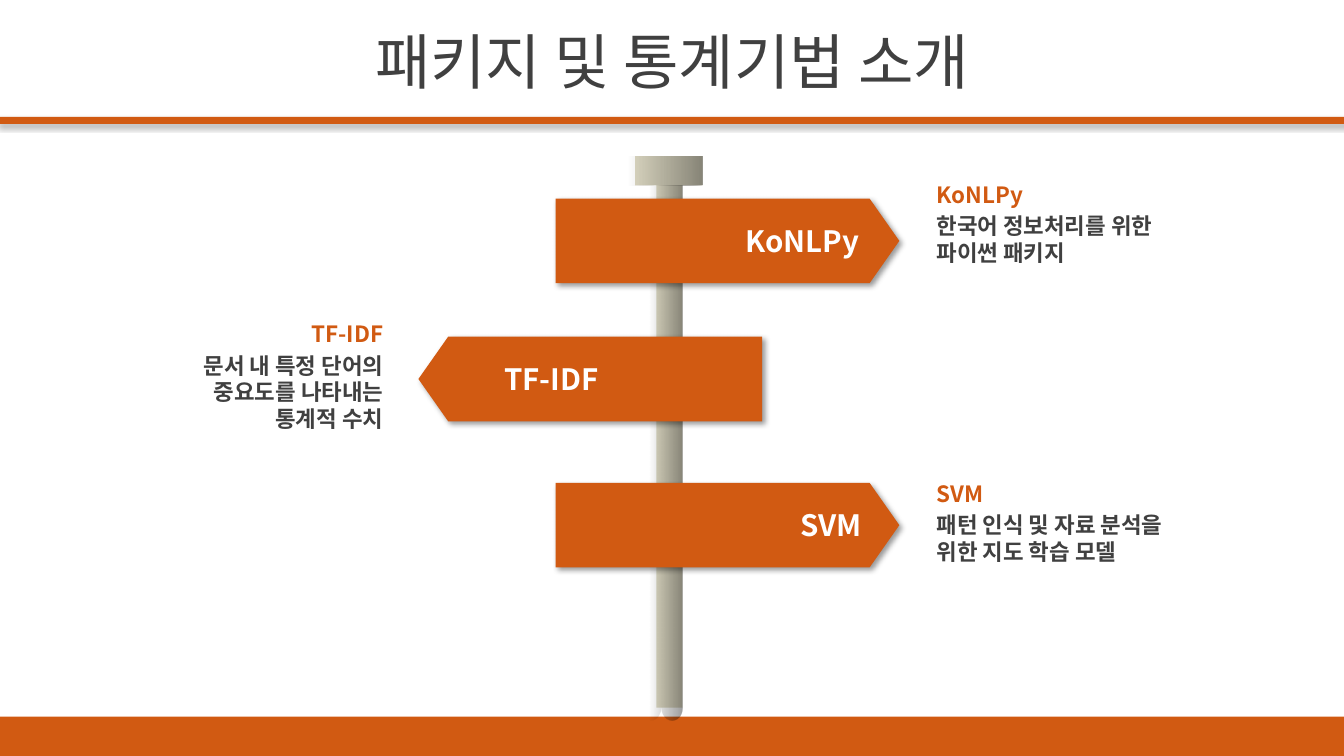
"""Build a signpost slide that introduces one package and two statistical methods."""
from math import cos, pi, sin

from pptx import Presentation
from pptx.dml.color import RGBColor
from pptx.enum.shapes import MSO_SHAPE as Shape
from pptx.enum.text import MSO_ANCHOR as Anchor, MSO_AUTO_SIZE as AutoSize, PP_ALIGN as Align
from pptx.oxml import parse_xml
from pptx.oxml.ns import nsdecls, qn
from pptx.oxml.xmlchemy import OxmlElement
from pptx.util import Inches, Pt

FONT = "Noto Sans CJK KR"
ORANGE = RGBColor(0xD1, 0x5A, 0x12)
STONE = RGBColor(0xDD, 0xD9, 0xC3)
GRAY = RGBColor(0x40, 0x40, 0x40)
WHITE = RGBColor(0xFF, 0xFF, 0xFF)
BLACK = RGBColor(0, 0, 0)

WIDE_INSETS = (0.13, 0.07)
NOTE_INSETS = (0.1, 0.05)
SHADOW = (
    f'<a:outerShdw {nsdecls("a")} blurRad="{Pt(4)}" dist="{Pt(3)}" dir="2700000" '
    'algn="tl" rotWithShape="0"><a:srgbClr val="000000"><a:alpha val="40000"/>'
    '</a:srgbClr></a:outerShdw>'
)


def place(shape, left, top, width, height):
    shape.left, shape.top = Inches(left), Inches(top)
    shape.width, shape.height = Inches(width), Inches(height)


def add_block(slide, kind, box, color, shadow=False):
    shape = slide.shapes.add_shape(kind, *map(Inches, box))
    shape.fill.solid()
    shape.fill.fore_color.rgb = color
    shape.line.fill.background()
    shape.shadow.inherit = False
    if shadow:
        shape._element.spPr.find(qn("a:effectLst")).append(parse_xml(SHADOW))
    return shape


def add_shade(slide, left, top, width, height, depth):
    bumps, steps = 3, 12
    radius = width / bumps / 2
    base = top + height - depth
    scallops = [
        (left + width - radius * (2 * bump + 1 - cos(pi * step / steps)),
         base + depth * sin(pi * step / steps))
        for bump in range(bumps) for step in range(steps + 1)
    ]
    builder = slide.shapes.build_freeform(Inches(left), Inches(top), scale=1.0)
    outline = [(left + width, top)] + scallops
    builder.add_line_segments([(Inches(x), Inches(y)) for x, y in outline], close=True)
    shape = builder.convert_to_shape()
    shape.fill.gradient()
    shape.fill.gradient_angle = 0
    for stop, position in zip(shape.fill.gradient_stops, (0.48, 1)):
        stop.position = position
        stop.color.rgb = BLACK
    for color, opacity in zip(shape._element.spPr.iter(qn("a:srgbClr")), (0, 39000)):
        alpha = OxmlElement("a:alpha")
        alpha.set("val", str(opacity))
        color.append(alpha)
    shape.line.fill.background()
    shape.shadow.inherit = False


def write(frame, lines, size, color, align, bold=True, insets=NOTE_INSETS):
    frame.word_wrap = True
    frame.margin_left = frame.margin_right = Inches(insets[0])
    frame.margin_top = frame.margin_bottom = Inches(insets[1])
    frame.text = "\n".join(lines)
    for paragraph in frame.paragraphs:
        paragraph.alignment = align
        font = paragraph.font
        font.size, font.bold, font.name = Pt(size), bold, FONT
        font.color.rgb = color
        east_asian = OxmlElement("a:ea")
        east_asian.set("typeface", FONT)
        paragraph._p.pPr.find(qn("a:defRPr")).append(east_asian)


def add_text(slide, box, *args, **options):
    textbox = slide.shapes.add_textbox(*map(Inches, box))
    write(textbox.text_frame, *args, **options)


def add_title(slide, text):
    title = slide.shapes.title
    place(title, 0, 0.18, 13.33, 0.84)
    write(title.text_frame, [text], 43, GRAY, Align.CENTER, bold=False, insets=WIDE_INSETS)
    title.text_frame.vertical_anchor = Anchor.MIDDLE
    title.text_frame.auto_size = AutoSize.NONE


def add_post(slide):
    add_block(slide, Shape.RECTANGLE, (6.51, 1.77, 0.26, 5.25), STONE)
    add_shade(slide, 6.14, 1.79, 0.63, 5.36, 0.13)
    add_block(slide, Shape.RECTANGLE, (6.3, 1.55, 0.67, 0.29), STONE)
    add_shade(slide, 5.55, 1.55, 1.42, 0.29, 0.01)


def add_sign(slide, name, lines, top, label_left, note_top, points_left=False):
    sign_left = 4.15 if points_left else 5.51
    sign = add_block(slide, Shape.PENTAGON, (sign_left, top, 3.41, 0.84), ORANGE, shadow=True)
    sign.adjustments[0] = 0.351
    sign.rotation = 180 if points_left else 0
    label_align, note_align = (Align.LEFT, Align.RIGHT) if points_left else (Align.RIGHT, Align.LEFT)
    add_text(slide, (label_left, top + 0.17, 2.33, 0.49), [name], 21, WHITE, label_align,
             insets=WIDE_INSETS)
    note_left, note_width = (1.09, 2.81) if points_left else (9.19, 3.15)
    add_text(slide, (note_left, note_top, note_width, 0.37), [name], 16, ORANGE, note_align)
    add_text(slide, (note_left, note_top + 0.31, note_width, 0.1 + 0.27 * len(lines)),
             lines, 16, GRAY, note_align)


def main():
    presentation = Presentation()
    presentation.slide_width, presentation.slide_height = Inches(13.33), Inches(7.5)
    slide = presentation.slides.add_slide(presentation.slide_layouts[5])
    add_title(slide, "패키지 및 통계기법 소개")
    add_block(slide, Shape.RECTANGLE, (0, 7.11, 13.33, 0.39), ORANGE)
    add_post(slide)
    add_sign(slide, "KoNLPy", ["한국어 정보처리를 위한", "파이썬 패키지"], 1.97, 6.32, 1.75)
    add_sign(slide, "TF-IDF", ["문서 내 특정 단어의", "중요도를 나타내는", "통계적 수치"],
             3.34, 4.87, 3.13, points_left=True)
    add_sign(slide, "SVM", ["패턴 인식 및 자료 분석을", "위한 지도 학습 모델"], 4.79, 6.35, 4.71)
    add_block(slide, Shape.RECTANGLE, (-0.05, 1.16, 13.44, 0.07), ORANGE, shadow=True)
    presentation.save("out.pptx")


if __name__ == "__main__":
    main()
